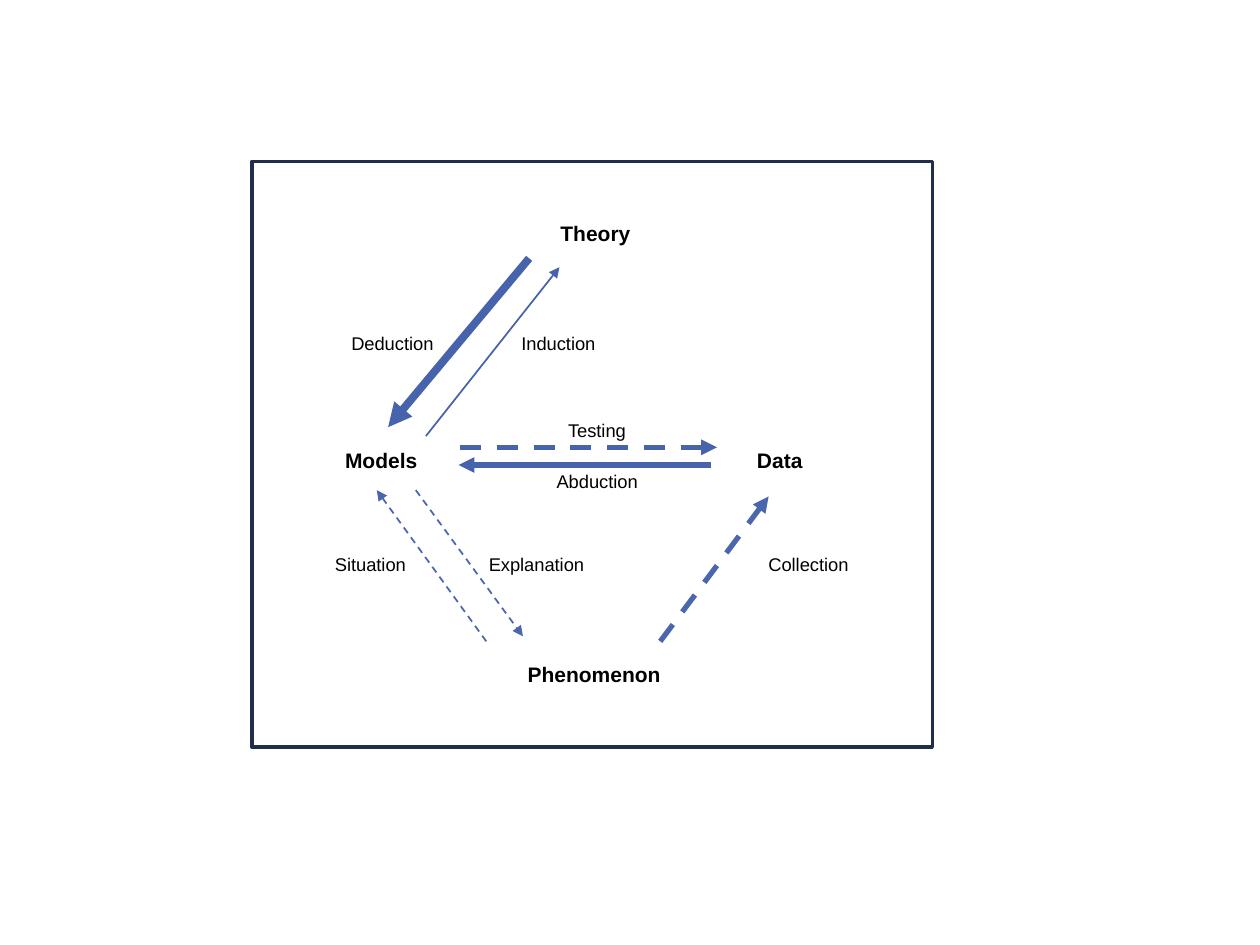
from lxml.etree import SubElement
from pptx import Presentation
from pptx.dml.color import RGBColor
from pptx.enum.dml import MSO_LINE as Dash
from pptx.enum.shapes import MSO_CONNECTOR as Connector, MSO_SHAPE as Shape
from pptx.enum.text import MSO_AUTO_SIZE as AutoSize
from pptx.oxml.ns import qn
from pptx.util import Pt

ROYAL, INDIGO, NAVY, BLACK = "4663AB", "4A66AC", "202D4B", "000000"

# name, left, top, width
CONCEPTS = [
    ("Theory", 169.2, 30.2, 54.7),
    ("Models", 46.1, 159.8, 56.2),
    ("Data", 281.5, 159.8, 40.3),
    ("Phenomenon", 150.5, 282.2, 91.4),
]

# name, (label left, top, width, wraps), start, end, colour, weight, dashed
PROCESSES = [
    ("Deduction", (49.7, 94.3, 88.6, True), (158.4, 55.4), (77.8, 151.9), ROYAL, 4.5, False),
    ("Testing", (173.5, 144, 49.7, False), (118.8, 163.4), (265.7, 163.4), ROYAL, 3, True),
    ("Abduction", (167, 172.8, 61.9, False), (262.1, 173.5), (118.1, 173.5), ROYAL, 3, False),
    ("Situation", (40.3, 220.3, 149, True), (133.9, 274.3), (71.3, 187.9), INDIGO, 1, True),
    ("Induction", (146.9, 94.3, 57.6, False), (99.4, 157), (175.7, 60.5), ROYAL, 1, False),
    ("Collection", (288, 220.3, 61.2, False), (233.3, 274.3), (295.2, 191.5), INDIGO, 3, True),
    ("Explanation", (128.2, 220.3, 99.4, True), (93.6, 187.9), (154.8, 271.4), INDIGO, 1, True),
]


def rgb(value):
    """Turn a hex string into a colour."""
    return RGBColor.from_string(value)


def add_label(slide, text, left, top, width, height, size, bold=False, wraps=False):
    """Add one line of Arial text."""
    label = slide.shapes.add_textbox(Pt(left), Pt(top), Pt(width), Pt(height))
    frame = label.text_frame
    frame.word_wrap = wraps
    frame.auto_size = AutoSize.SHAPE_TO_FIT_TEXT
    run = frame.paragraphs[0].add_run()
    run.text = text
    run.font.name = "Arial"
    run.font.size = Pt(size)
    run.font.bold = bold
    run.font.color.rgb = rgb(BLACK)


def add_arrow(slide, start, end, colour, weight, dashed):
    """Add a straight arrow with a triangular head at its end."""
    arrow = slide.shapes.add_connector(Connector.STRAIGHT, *map(Pt, start + end))
    arrow.line.color.rgb = rgb(colour)
    arrow.line.width = Pt(weight)
    if dashed:
        arrow.line.dash_style = Dash.DASH
    SubElement(arrow.line._get_or_add_ln(), qn("a:tailEnd"), type="triangle")
    SubElement(arrow._element.spPr, qn("a:effectLst"))


def add_research_cycle(slide, left, top, width, height):
    """Draw the framed cycle of concepts and the processes linking them."""
    for name, x, y, label_width in CONCEPTS:
        add_label(slide, name, left + x, top + y, label_width, 21.6, 12, bold=True)
    for name, (x, y, label_width, wraps), start, end, *style in PROCESSES:
        ends = [(left + px, top + py) for px, py in (start, end)]
        add_arrow(slide, *ends, *style)
        add_label(slide, name, left + x, top + y, label_width, 20.2, 10.5, wraps=wraps)
    border = slide.shapes.add_shape(Shape.RECTANGLE, *map(Pt, (left, top, width, height)))
    border.shadow.inherit = False
    border.fill.background()
    border.line.color.rgb = rgb(NAVY)
    border.line.width = Pt(2)


def main():
    """Build and save the slide."""
    deck = Presentation()
    deck.slide_width, deck.slide_height = Pt(720), Pt(540)
    slide = deck.slides.add_slide(deck.slide_layouts[6])
    add_research_cycle(slide, 144, 92.2, 388.8, 334.8)
    deck.save("out.pptx")


if __name__ == "__main__":
    main()
